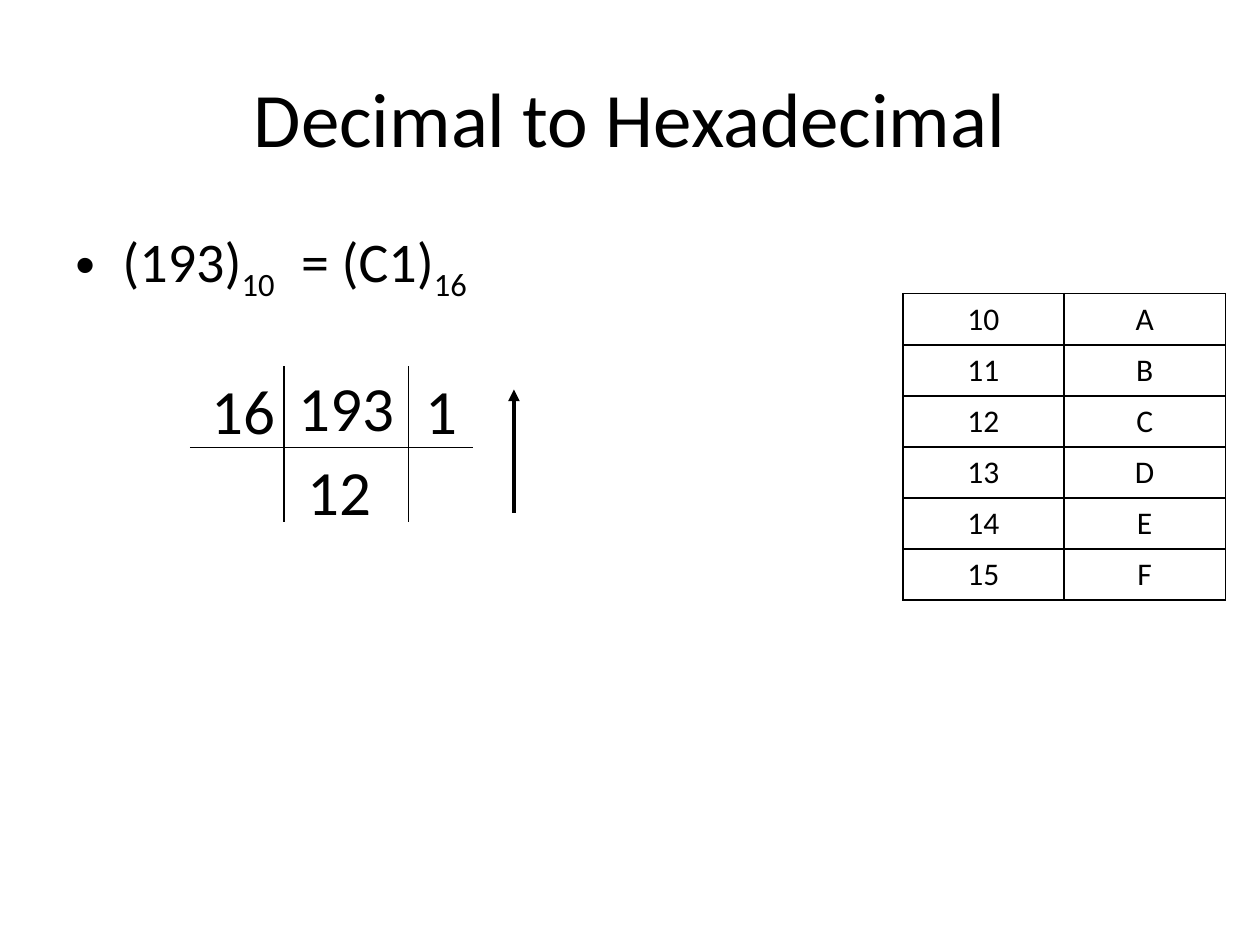
from dataclasses import dataclass

from lxml import etree
from pptx import Presentation
from pptx.dml.color import RGBColor
from pptx.enum.shapes import MSO_CONNECTOR
from pptx.enum.text import MSO_ANCHOR, PP_ALIGN
from pptx.oxml.ns import qn
from pptx.util import Cm, Pt

STRAIGHT = MSO_CONNECTOR.STRAIGHT
MIDDLE, TOP = MSO_ANCHOR.MIDDLE, MSO_ANCHOR.TOP
CENTER, LEFT = PP_ALIGN.CENTER, PP_ALIGN.LEFT


@dataclass(frozen=True)
class Theme:
    font: str = "Calibri"
    ink: str = "000000"
    title: int = 44
    body: int = 32
    working: int = 36
    cell: int = 18
    rule: float = 1
    arrow: float = 2.25
    working_spacing: float = 1.07


THEME = Theme()


def style(paragraph, size, align=CENTER, line_spacing=None):
    paragraph.alignment = align
    if line_spacing:
        paragraph.line_spacing = line_spacing
    font = paragraph.font
    font.name, font.size = THEME.font, Pt(size)
    font.color.rgb = RGBColor.from_string(THEME.ink)


def add_text_box(slide, box, anchor=TOP, wrap=False):
    """Add an empty text box and return its first paragraph."""
    frame = slide.shapes.add_textbox(*map(Cm, box)).text_frame
    frame.word_wrap = wrap
    frame.vertical_anchor = anchor
    return frame.paragraphs[0]


def add_number(paragraph, digits, base):
    """Write digits followed by their base as a subscript."""
    paragraph.add_run().text = digits
    subscript = paragraph.add_run()
    subscript.text = base
    subscript._r.get_or_add_rPr().set("baseline", "-25000")


def add_bullet(paragraph, indent):
    properties = paragraph._p.get_or_add_pPr()
    properties.set("marL", str(indent))
    properties.set("indent", str(-indent))
    etree.SubElement(properties, qn("a:buFont")).set("typeface", "Arial")
    etree.SubElement(properties, qn("a:buChar")).set("char", "•")


def set_borders(cell, sides):
    """Rule the given sides (of L, R, T, B) and clear the others."""
    properties = cell._tc.get_or_add_tcPr()
    for side in "LRTB":
        line = etree.SubElement(properties, qn(f"a:ln{side}"), w=str(Pt(THEME.rule)))
        if side in sides:
            fill = etree.SubElement(line, qn("a:solidFill"))
            etree.SubElement(fill, qn("a:srgbClr")).set("val", THEME.ink)
        else:
            etree.SubElement(line, qn("a:noFill"))


def add_grid(slide, left, top, widths, heights, borders_at):
    """Add an unfilled table; borders_at(row, column) gives a cell's ruled sides."""
    table = slide.shapes.add_table(
        len(heights), len(widths), Cm(left), Cm(top), Cm(sum(widths)), Cm(sum(heights))
    ).table
    table.first_row = table.horz_banding = False
    for column, width in zip(table.columns, widths):
        column.width = Cm(width)
    for r, height in enumerate(heights):
        table.rows[r].height = Cm(height)
        for c in range(len(widths)):
            cell = table.cell(r, c)
            set_borders(cell, borders_at(r, c))
            cell.fill.background()
    return table


def write_cell(cell, text, size, line_spacing=None):
    cell.text = text
    cell.vertical_anchor = MIDDLE
    style(cell.text_frame.paragraphs[0], size, line_spacing=line_spacing)


def add_digit_table(slide):
    digits = list(enumerate("ABCDEF", start=10))
    table = add_grid(slide, 18.2, 5.92, [3.25] * 2, [1.03] * len(digits),
                     lambda row, column: "LRTB")
    for r, (decimal, hexadecimal) in enumerate(digits):
        for c, text in enumerate((str(decimal), hexadecimal)):
            write_cell(table.cell(r, c), text, THEME.cell)


def add_division(slide):
    """Lay out 193 divided by 16, with the remainder to the right."""
    def inner_borders(row, column):
        return ("L" if column > 0 else "") + ("R" if column < 2 else "") + "BT"[row]

    division = add_grid(slide, 3.83, 7.38, [1.9, 2.51, 1.3], [1.64, 1.51], inner_borders)
    dividend = division.cell(0, 1)
    dividend.margin_top = dividend.margin_bottom = 0
    dividend.margin_left = dividend.margin_right = Cm(0.18)
    write_cell(dividend, "193", THEME.working, THEME.working_spacing)

    for text, left, top, width in (("16", 4.01, 7.26, 1.8),
                                   ("1", 8.31, 7.26, 1.17),
                                   ("12", 5.94, 8.89, 1.8)):
        number = add_text_box(slide, (left, top, width, 1.83))
        number.text = text
        style(number, THEME.working, line_spacing=THEME.working_spacing)


def add_reading_arrow(slide, x, start, end):
    arrow = slide.shapes.add_connector(STRAIGHT, Cm(x), Cm(start), Cm(x), Cm(end))
    arrow.line.width = Pt(THEME.arrow)
    arrow.line.color.rgb = RGBColor.from_string(THEME.ink)
    etree.SubElement(arrow.line._get_or_add_ln(), qn("a:tailEnd")).set("type", "triangle")
    etree.SubElement(arrow._element.spPr, qn("a:effectLst"))


def main():
    presentation = Presentation()
    presentation.slide_width, presentation.slide_height = Cm(25.4), Cm(19.05)
    slide = presentation.slides.add_slide(presentation.slide_layouts[6])

    title = add_text_box(slide, (1.27, 0.76, 22.86, 3.18), MIDDLE, wrap=True)
    title.text = "Decimal to Hexadecimal"
    style(title, THEME.title)

    decimal = add_text_box(slide, (1.27, 4.45, 22.86, 12.57), wrap=True)
    add_bullet(decimal, Cm(0.95))
    add_number(decimal, "(193)", "10")
    style(decimal, THEME.body, LEFT)

    hexadecimal = add_text_box(slide, (5.82, 4.45, 3.99, 1.63))
    add_number(hexadecimal, "= (C1)", "16")
    style(hexadecimal, THEME.body, LEFT)

    add_digit_table(slide)
    add_reading_arrow(slide, 10.36, 10.34, 7.85)
    add_division(slide)
    presentation.save("out.pptx")


if __name__ == "__main__":
    main()
